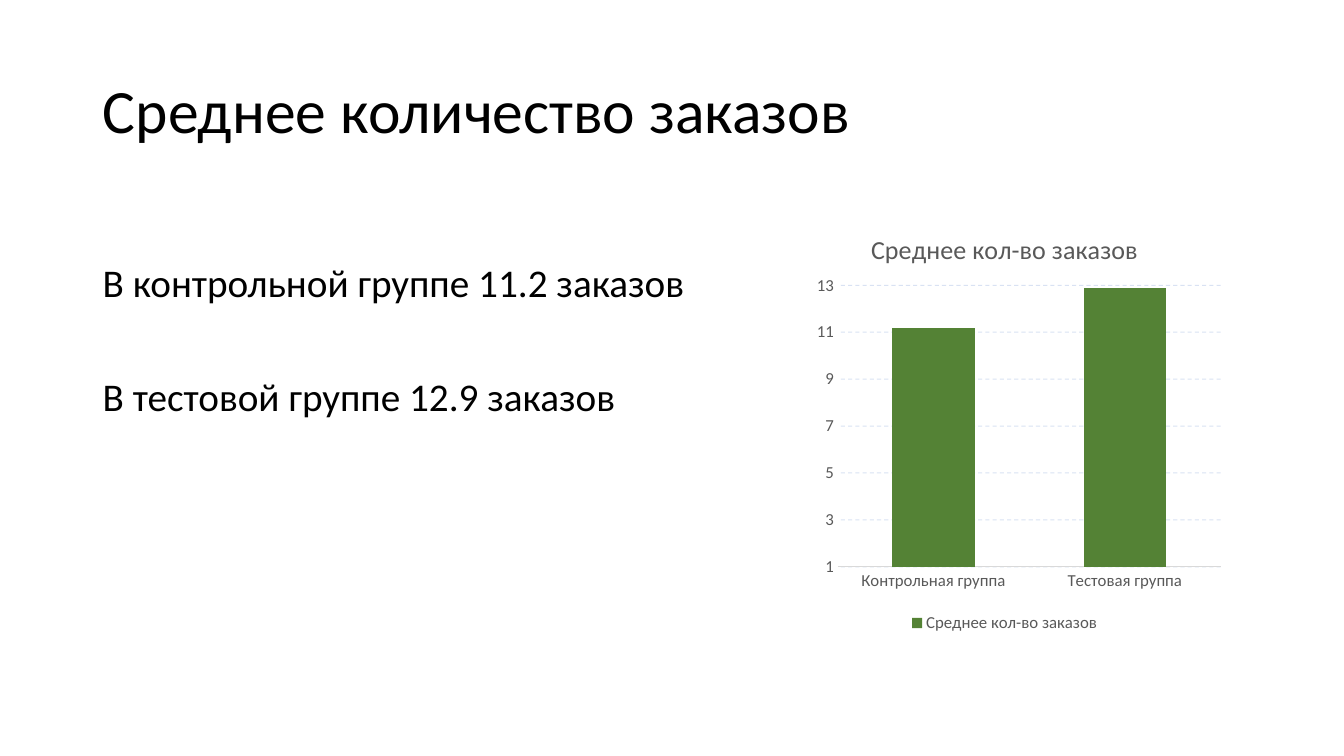
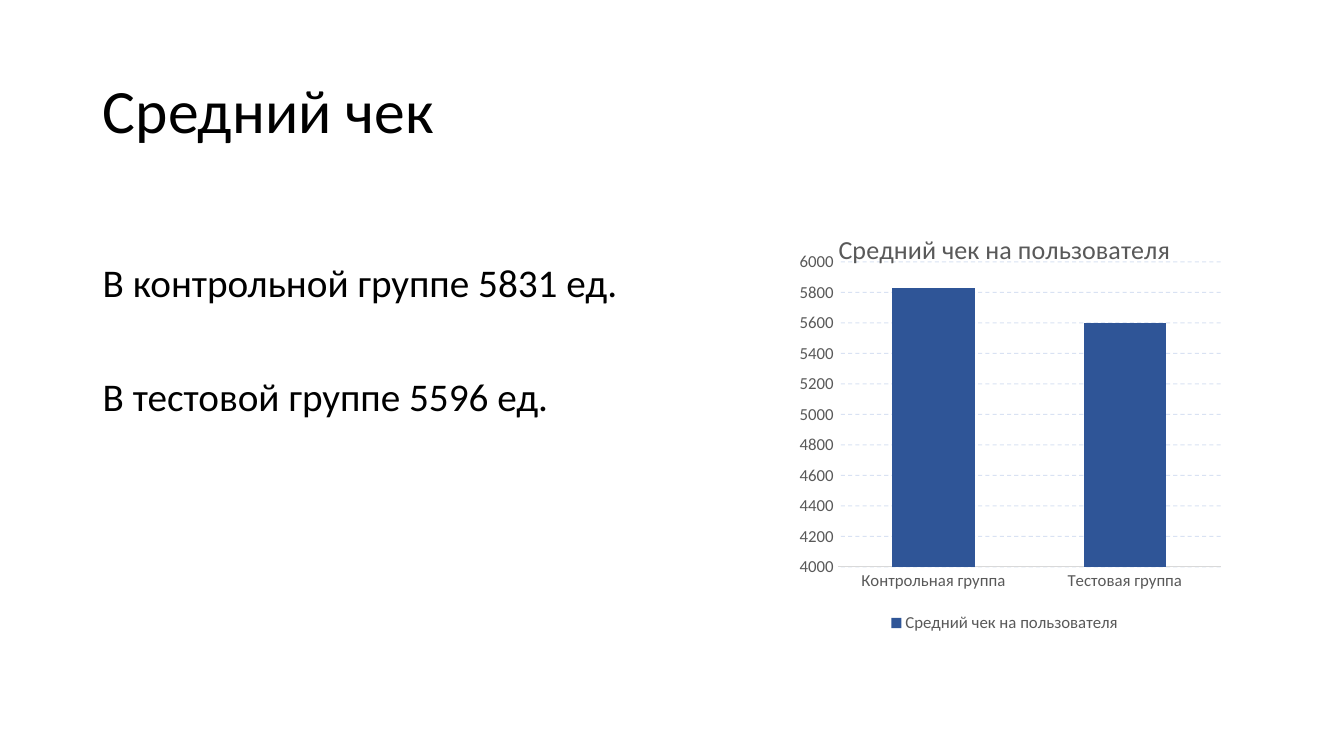
from lxml import etree
from pptx import Presentation
from pptx.chart.data import CategoryChartData
from pptx.dml.color import RGBColor
from pptx.enum import chart as ch, dml, text
from pptx.oxml import ns
from pptx.util import Inches, Pt

FONT = "Calibri"
BLACK = RGBColor(0x00, 0x00, 0x00)
GRAY = RGBColor(0x59, 0x59, 0x59)
AXIS = RGBColor(0xD9, 0xD9, 0xD9)
GRID = RGBColor(0x44, 0x72, 0xC4)
GREEN = RGBColor(0x54, 0x82, 0x35)
BLUE = RGBColor(0x2F, 0x55, 0x97)

GROUPS = ["Контрольная группа", "Тестовая группа"]
PLOT = {"x": 0.15, "y": 0.116, "w": 0.803, "h": 0.719}
SLIDES = [
    ("Среднее количество заказов",
     ["В контрольной группе 11.2 заказов", "В тестовой группе 12.9 заказов"],
     "Среднее кол-во заказов", [11.2, 12.9], GREEN, (1, 14, 2)),
    ("Средний чек",
     ["В контрольной группе 5831 ед.", "В тестовой группе 5596 ед."],
     "Средний чек на пользователя", [5830, 5600], BLUE, (4000, 6000, 200)),
]


def set_font(font, size, color):
    font.name = FONT
    font.size = Pt(size)
    font.bold = False
    font.color.rgb = color


def add_element(parent, tag, **attrs):
    return etree.SubElement(parent, ns.qn(tag), attrs)


prs = Presentation()
prs.slide_width = Inches(13.33)
prs.slide_height = Inches(7.5)

for heading, lines, series_name, values, color, scale in SLIDES:
    s = prs.slides.add_slide(prs.slide_layouts[5])

    title = s.shapes.title
    title.left, title.top = Inches(0.92), Inches(0.4)
    title.width, title.height = Inches(11.5), Inches(1.45)
    tf = title.text_frame
    tf.text = heading
    tf.auto_size = text.MSO_AUTO_SIZE.NONE
    tf.vertical_anchor = text.MSO_ANCHOR.MIDDLE
    p = tf.paragraphs[0]
    p.alignment = text.PP_ALIGN.LEFT
    p.line_spacing = 0.9
    set_font(p.runs[0].font, 44, BLACK)

    body = s.shapes.add_textbox(Inches(0.92), Inches(2.57), Inches(6.9), Inches(4.35))
    tf = body.text_frame
    tf.word_wrap = True
    tf.text = "\n".join(lines)
    for i, p in enumerate(tf.paragraphs):
        p.line_spacing = 0.9
        p.space_before = Pt(51 if i else 0)
        set_font(p.runs[0].font, 28, BLACK)

    data = CategoryChartData()
    data.categories = GROUPS
    data.add_series(series_name, values)
    chart = s.shapes.add_chart(
        ch.XL_CHART_TYPE.COLUMN_CLUSTERED,
        Inches(7.6), Inches(2.11), Inches(4.73), Inches(4.21), data).chart
    set_font(chart.font, 12, GRAY)

    chart.has_title = True
    tf = chart.chart_title.text_frame
    tf.text = series_name
    set_font(tf.paragraphs[0].runs[0].font, 18.6, GRAY)

    chart.has_legend = True
    chart.legend.position = ch.XL_LEGEND_POSITION.BOTTOM
    chart.legend.include_in_layout = False
    set_font(chart.legend.font, 12, GRAY)

    plot = chart.plots[0]
    plot.gap_width = 132
    plot.overlap = -27
    plot.vary_by_categories = False
    fill = plot.series[0].format.fill
    fill.solid()
    fill.fore_color.rgb = color

    cat_axis, val_axis = chart.category_axis, chart.value_axis
    for axis in (cat_axis, val_axis):
        axis.major_tick_mark = ch.XL_TICK_MARK.NONE
        axis.minor_tick_mark = ch.XL_TICK_MARK.NONE
        set_font(axis.tick_labels.font, 12, GRAY)
    cat_axis.format.line.color.rgb = AXIS
    cat_axis.format.line.width = Pt(0.75)
    val_axis.format.line.fill.background()
    val_axis.minimum_scale, val_axis.maximum_scale, val_axis.major_unit = scale

    val_axis.has_major_gridlines = True
    gridlines = val_axis.major_gridlines
    line = gridlines.format.line
    line.color.rgb = GRID
    line.width = Pt(0.75)
    line.dash_style = dml.MSO_LINE.DASH
    for clr in chart.element.iterfind(".//" + ns.qn("c:majorGridlines") + "//" + ns.qn("a:srgbClr")):
        add_element(clr, "a:alpha", val="20000")

    plot_area = chart.element.find(".//" + ns.qn("c:plotArea"))
    for old in plot_area.findall(ns.qn("c:layout")):
        plot_area.remove(old)
    layout = add_element(plot_area, "c:layout")
    plot_area.insert(0, layout)
    manual = add_element(layout, "c:manualLayout")
    add_element(manual, "c:layoutTarget", val="inner")
    for side in "xy":
        add_element(manual, f"c:{side}Mode", val="edge")
    for key, share in PLOT.items():
        add_element(manual, f"c:{key}", val=str(share))

prs.save("out.pptx")
